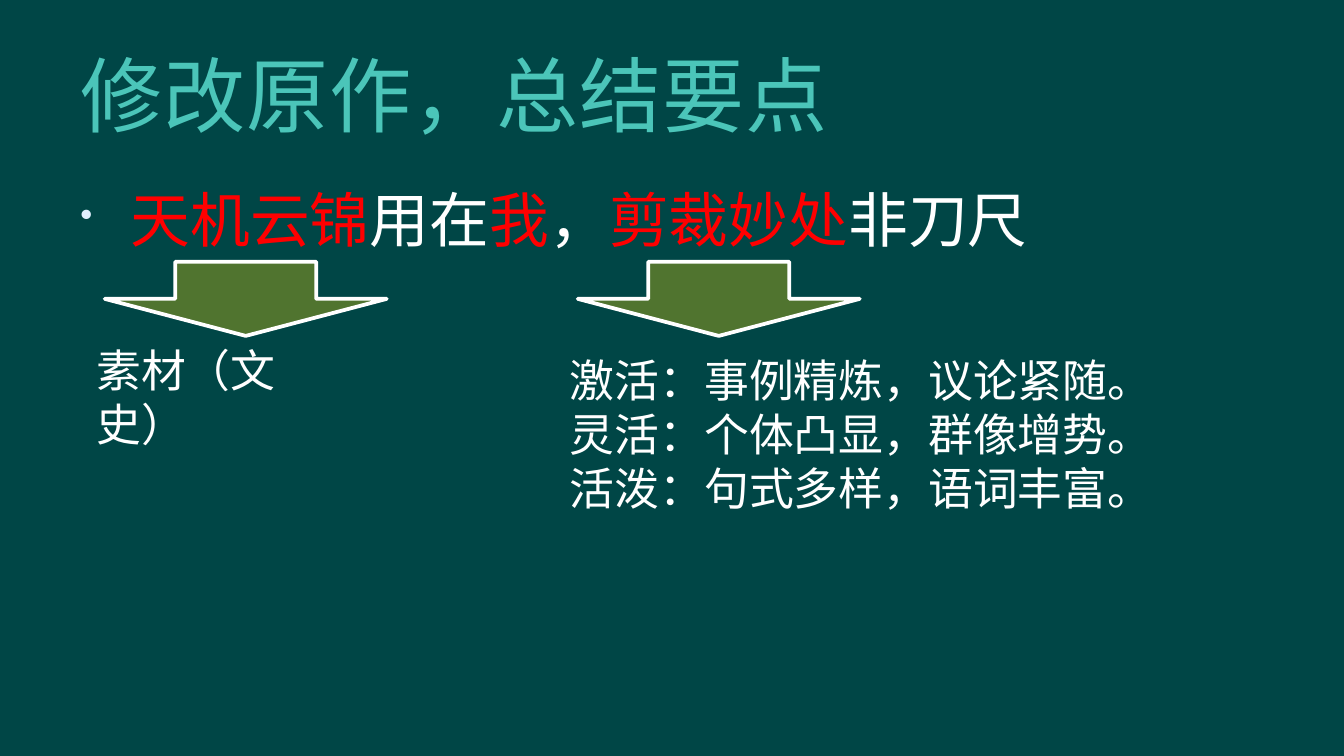
import pptx
import pptx.dml.color
import pptx.enum.shapes
import pptx.enum.text
import pptx.oxml
import pptx.oxml.ns
import pptx.util
from pptx.util import Cm

COLOURS = {
    "background": "004646",
    "title": "4BC5B9",
    "text": "FFFFFF",
    "key": "FF0000",
    "bullet": "E1F0FF",
    "arrow": "50742F",
}
LATIN, ASIAN = "Times New Roman", "Lato"


def colour(name):
    return pptx.dml.color.RGBColor.from_string(COLOURS[name])


def add_element(parent, tag, **attributes):
    element = pptx.oxml.parse_xml(f"<a:{tag} {pptx.oxml.ns.nsdecls('a')}/>")
    for key, value in attributes.items():
        element.set(key, str(value))
    parent.append(element)
    return element


def write(para, text, size=24, fill="text", font=LATIN, spacing=None):
    """Add one formatted span of text to a paragraph."""
    span = para.add_run()
    span.text = text
    span.font.size = pptx.util.Pt(size)
    span.font.name = font
    span.font.color.rgb = colour(fill)
    properties = span.font._element
    add_element(properties, "ea", typeface=ASIAN)
    if spacing is not None:
        properties.set("spc", str(int(spacing * 100)))


def add_text_box(page, left, top, width, height):
    box = page.shapes.add_textbox(Cm(left), Cm(top), Cm(width), Cm(height))
    box.text_frame.word_wrap = True
    return box.text_frame


def add_title(page, text):
    title = page.shapes.title
    title.left, title.top = Cm(1.27), Cm(0.58)
    title.width, title.height = Cm(21.59), Cm(2.39)
    title.text_frame.vertical_anchor = pptx.enum.text.MSO_ANCHOR.MIDDLE
    para = title.text_frame.paragraphs[0]
    para.alignment = pptx.enum.text.PP_ALIGN.LEFT
    write(para, text, size=44, fill="title", font="Lato", spacing=0.5)


def add_verse(page, parts):
    """Add the bulleted verse, with its key words in red."""
    para = add_text_box(page, 1.27, 3.33, 22.86, 9.42).paragraphs[0]
    for text, fill in parts:
        write(para, text, size=32, fill=fill)
    properties = para._p.get_or_add_pPr()
    properties.set("marL", str(Cm(0.95)))
    properties.set("indent", str(-Cm(0.95)))
    bullet_colour = add_element(properties, "buClr")
    add_element(bullet_colour, "srgbClr", val=COLOURS["bullet"])
    add_element(properties, "buSzPct", val=60000)
    add_element(properties, "buChar", char="•")


def add_notes(page, lines, *place):
    frame = add_text_box(page, *place)
    for index, line in enumerate(lines):
        para = frame.add_paragraph() if index else frame.paragraphs[0]
        write(para, line)


def add_down_arrow(page, left):
    arrow = page.shapes.add_shape(
        pptx.enum.shapes.MSO_SHAPE.DOWN_ARROW,
        Cm(left), Cm(4.95), Cm(5.33), Cm(1.4))
    arrow.shadow.inherit = False
    arrow.fill.solid()
    arrow.fill.fore_color.rgb = colour("arrow")
    arrow.line.color.rgb = colour("text")
    arrow.line.width = pptx.util.Pt(2)


def main():
    deck = pptx.Presentation()
    deck.slide_width, deck.slide_height = Cm(25.4), Cm(14.29)
    page = deck.slides.add_slide(deck.slide_layouts[5])
    page.background.fill.solid()
    page.background.fill.fore_color.rgb = colour("background")

    # Title and verse
    add_title(page, "修改原作，总结要点")
    add_verse(page, [
        ("天机云锦", "key"), ("用在", "text"), ("我", "key"),
        ("，", "text"), ("剪裁妙处", "key"), ("非刀尺", "text"),
    ])

    # Explanations under the key words
    add_notes(page, ["素材（文史）"], 1.57, 6.35, 5.16, 1.27)
    add_notes(page, [
        "激活：事例精炼，议论紧随。",
        "灵活：个体凸显，群像增势。",
        "活泼：句式多样，语词丰富。",
    ], 10.52, 6.55, 11.13, 4.37)

    # Arrows from the verse to the explanations
    for left in (10.92, 1.98):
        add_down_arrow(page, left)

    deck.save("out.pptx")


if __name__ == "__main__":
    main()
